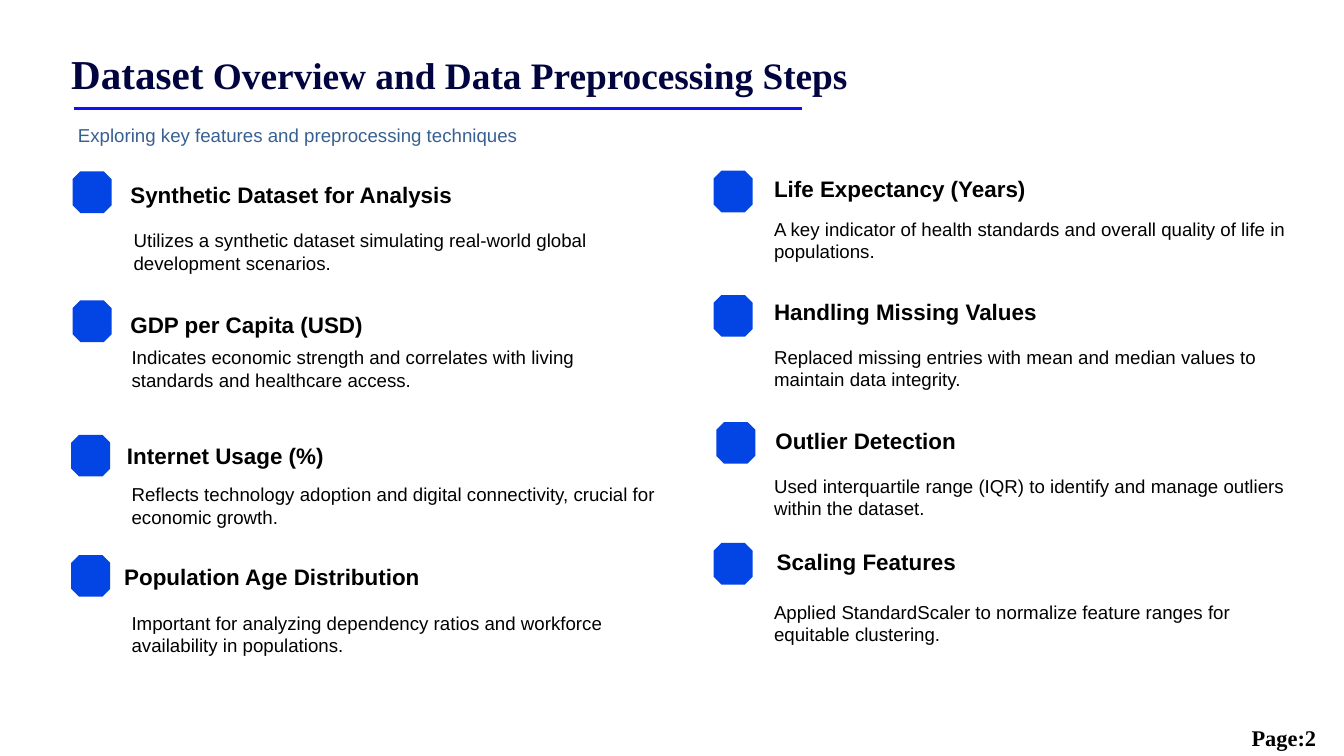
from pptx import Presentation
from pptx.dml.color import RGBColor
from pptx.enum.shapes import MSO_CONNECTOR, MSO_SHAPE
from pptx.enum.text import MSO_ANCHOR, MSO_AUTO_SIZE, PP_ALIGN
from pptx.oxml.ns import qn
from pptx.util import Inches, Pt
from lxml import etree

# Content
TITLE = [("Dataset", 44), (" Overview and Data Preprocessing Steps", 40)]
SUBTITLE = "Exploring key features and preprocessing techniques"
PAGE = "Page:2"

# Each topic: marker (left, top), heading, its box, description, its box
# Boxes are (left, top, width, height); the first three headings are tight.
LEFT_TOPICS = [
    ((1.08, 2.55), "Synthetic Dataset for Analysis", (1.94, 2.61, 8.04, 0.44),
     "Utilizes a synthetic dataset simulating real-world global development scenarios.",
     (1.89, 3.36, 8.07, 0.77)),
    ((1.08, 4.47), "GDP per Capita (USD)", (1.94, 4.54, 8.04, 0.46),
     "Indicates economic strength and correlates with living standards and healthcare access.",
     (1.86, 5.1, 7.87, 0.77)),
    ((1.06, 6.47), "Internet Usage (%)", (1.89, 6.49, 8.04, 0.46),
     "Reflects technology adoption and digital connectivity, crucial for economic growth.",
     (1.86, 7.14, 8.03, 0.77)),
    ((1.06, 8.26), "Population Age Distribution", (1.75, 8.33, 6.08, 0.5),
     "Important for analyzing dependency ratios and workforce availability in populations.",
     (1.86, 9.05, 8.03, 0.77)),
]
RIGHT_TOPICS = [
    ((10.62, 2.54), "Life Expectancy (Years)", (11.42, 2.55, 6.08, 0.5),
     "A key indicator of health standards and overall quality of life in populations.",
     (11.42, 3.19, 8.03, 0.77)),
    ((10.62, 4.39), "Handling Missing Values", (11.42, 4.38, 6.08, 0.5),
     "Replaced missing entries with mean and median values to maintain data integrity.",
     (11.42, 5.09, 8.03, 0.77)),
    ((10.66, 6.28), "Outlier Detection", (11.44, 6.3, 6.08, 0.5),
     "Used interquartile range (IQR) to identify and manage outliers within the dataset.",
     (11.42, 7.01, 8.03, 0.77)),
    ((10.62, 8.08), "Scaling Features", (11.46, 8.11, 6.08, 0.5),
     "Applied StandardScaler to normalize feature ranges for equitable clustering.",
     (11.42, 8.89, 8.03, 0.77)),
]
TIGHT_HEADINGS = 3

THEME = {
    "serif": "Times New Roman", "sans": "Arial",
    "title": "020440", "rule": "1010F6", "subtitle": "376092",
    "marker": "0345E4", "text": "000000",
    "heading_size": 24, "body_size": 20, "page_size": 24,
}
MARKER_SIZE = (0.58, 0.62)


def place(shape, box):
    shape.left, shape.top, shape.width, shape.height = map(Inches, box)


def write(shape, runs, font, color, bold=False, inset=None, spacing=None,
          anchor=MSO_ANCHOR.TOP, align=PP_ALIGN.LEFT, grow=True):
    frame = shape.text_frame
    frame.word_wrap = True
    frame.vertical_anchor = anchor
    frame.auto_size = MSO_AUTO_SIZE.SHAPE_TO_FIT_TEXT if grow else MSO_AUTO_SIZE.NONE
    if inset is not None:
        frame.margin_left = frame.margin_right = Inches(inset)
        frame.margin_top = frame.margin_bottom = Inches(inset)
    paragraph = frame.paragraphs[0]
    paragraph.alignment = align
    if spacing:
        paragraph.line_spacing = Pt(spacing)
    for text, size in runs:
        run = paragraph.add_run()
        run.text = text
        run.font.name = font
        run.font.size = Pt(size)
        run.font.bold = bold
        run.font.color.rgb = RGBColor.from_string(color)


def add_text(slide, box, text, size, color, font=THEME["sans"], **options):
    shape = slide.shapes.add_textbox(*map(Inches, box))
    write(shape, [(text, size)], font, color, **options)


def add_marker(slide, position):
    shape = slide.shapes.add_shape(
        MSO_SHAPE.OCTAGON, *map(Inches, position + MARKER_SIZE))
    shape.adjustments[0] = 0.2
    shape.shadow.inherit = False
    shape.fill.solid()
    shape.fill.fore_color.rgb = RGBColor.from_string(THEME["marker"])
    shape.line.fill.background()


def add_topic(slide, topic, tight):
    marker, heading, heading_box, description, description_box = topic
    add_marker(slide, marker)
    options = {"inset": 0, "spacing": 35} if tight else {}
    add_text(slide, heading_box, heading, THEME["heading_size"], THEME["text"],
             bold=True, **options)
    add_text(slide, description_box, description, THEME["body_size"], THEME["text"])


def main():
    presentation = Presentation()
    presentation.slide_width = Inches(20)
    presentation.slide_height = Inches(11.25)
    slide = presentation.slides.add_slide(presentation.slide_layouts[5])

    # Title, rule and subtitle
    title = slide.shapes.title
    place(title, (1.06, 0.68, 11.75, 0.73))
    write(title, TITLE, THEME["serif"], THEME["title"], bold=True, inset=0, spacing=56.1)
    rule = slide.shapes.add_connector(
        MSO_CONNECTOR.STRAIGHT, Inches(1.1), Inches(1.62), Inches(11.94), Inches(1.62))
    rule.line.color.rgb = RGBColor.from_string(THEME["rule"])
    rule.line.width = Pt(3)
    etree.SubElement(rule._element.spPr, qn("a:effectLst"))
    add_text(slide, (1.06, 1.8, 9.42, 0.44), SUBTITLE, THEME["body_size"], THEME["subtitle"])

    # Topics in two columns
    for index, topic in enumerate(LEFT_TOPICS + RIGHT_TOPICS):
        add_topic(slide, topic, tight=index < TIGHT_HEADINGS)

    # Page number
    add_text(slide, (18.21, 10.65, 1.79, 0.39), PAGE, THEME["page_size"], THEME["text"],
             font=THEME["serif"], bold=True, inset=0.05, spacing=47.6,
             anchor=MSO_ANCHOR.MIDDLE, align=PP_ALIGN.CENTER, grow=False)

    presentation.save("out.pptx")


if __name__ == "__main__":
    main()
